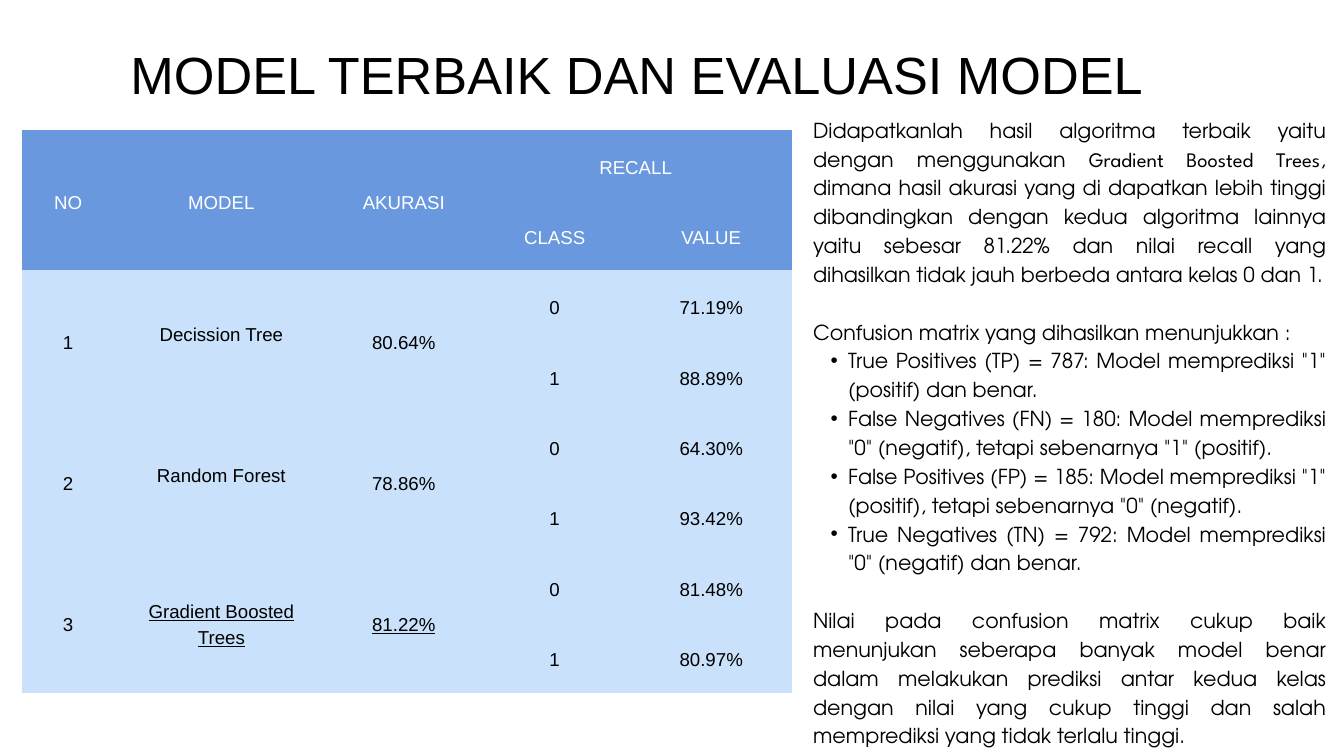
from lxml import etree
from pptx import Presentation, util as u
from pptx.dml.color import RGBColor
from pptx.enum import text
from pptx.oxml import ns

SCALE = 9144  # EMU per px, 100 px to the inch
BLACK = RGBColor(0, 0, 0)
WHITE = RGBColor(255, 255, 255)
BLUE = RGBColor(0x69, 0x98, 0xDF)
PALE = RGBColor(0xC9, 0xE1, 0xFB)

TITLE = "MODEL TERBAIK DAN EVALUASI MODEL"
WIDTHS = [137, 319, 224, 225, 241]
HEADS = [
    ["NO", "MODEL", "AKURASI", "RECALL", ""],
    ["", "", "", "CLASS", "VALUE"],
]
MODELS = [  # name, accuracy, recall of class 0 and 1
    ("Decission Tree", "80.64%", "71.19%", "88.89%"),
    ("Random Forest", "78.86%", "64.30%", "93.42%"),
    ("Gradient Boosted Trees", "81.22%", "81.48%", "80.97%"),
]
BEST = "Gradient Boosted Trees"
INTRO = [
    "Didapatkanlah hasil algoritma terbaik yaitu dengan menggunakan ",
    BEST,
    ", dimana hasil akurasi yang di dapatkan lebih tinggi dibandingkan dengan "
    "kedua algoritma lainnya yaitu sebesar 81.22% dan nilai recall yang "
    "dihasilkan tidak jauh berbeda antara kelas 0 dan 1.",
]
LEAD = "Confusion matrix yang dihasilkan menunjukkan : "
POINTS = [
    'True Positives (TP) = 787: Model memprediksi "1" (positif) dan benar.',
    'False Negatives (FN) = 180: Model memprediksi "0" (negatif), '
    'tetapi sebenarnya "1" (positif).',
    'False Positives (FP) = 185: Model memprediksi "1" (positif), '
    'tetapi sebenarnya "0" (negatif).',
    'True Negatives (TN) = 792: Model memprediksi "0" (negatif) dan benar.',
]
CLOSE = (
    "Nilai pada confusion matrix cukup baik menunjukan seberapa banyak model "
    "benar dalam melakukan prediksi antar kedua kelas dengan nilai yang cukup "
    "tinggi dan salah memprediksi yang tidak terlalu tinggi."
)


def px(n):
    return u.Emu(n * SCALE)


def style(para, size, font, color, lead, align):
    para.alignment = align
    para.line_spacing = u.Pt(lead)
    for run in para.runs:
        run.font.size = u.Pt(size)
        run.font.name = font
        run.font.color.rgb = color


def add_box(slide, x, y, w, h):
    frame = slide.shapes.add_textbox(px(x), px(y), px(w), px(h)).text_frame
    frame.word_wrap = True
    frame.margin_left = frame.margin_right = 0
    frame.margin_top = frame.margin_bottom = 0
    return frame


def add_bullet(para):
    props = para._p.get_or_add_pPr()
    props.set("lvl", "1")
    props.set("marL", str(px(52)))
    props.set("indent", str(px(-26)))
    etree.SubElement(props, ns.qn("a:buFont"), typeface="Arial")
    etree.SubElement(props, ns.qn("a:buChar"), char="•")


def clear_edges(cell):
    props = cell._tc.get_or_add_tcPr()
    for i, side in enumerate(("lnL", "lnR", "lnT", "lnB")):
        line = etree.Element(ns.qn("a:" + side), w="0")
        etree.SubElement(line, ns.qn("a:noFill"))
        props.insert(i, line)


def fill_cell(cell, words, back, color, lead):
    cell.text_frame.text = words
    cell.vertical_anchor = text.MSO_ANCHOR.MIDDLE
    cell.margin_left = cell.margin_right = px(21)
    cell.margin_top = cell.margin_bottom = px(21)
    cell.fill.solid()
    cell.fill.fore_color.rgb = back
    clear_edges(cell)
    style(cell.text_frame.paragraphs[0], 20, "Arial", color, lead,
          text.PP_ALIGN.CENTER)


def add_scores(slide):
    rows = list(HEADS)
    for no, (name, score, zero, one) in enumerate(MODELS, 1):
        rows += [[str(no), name, score, "0", zero], ["", "", "", "1", one]]
    table = slide.shapes.add_table(
        len(rows), len(WIDTHS), px(33), px(193), px(sum(WIDTHS)), px(838)).table
    for col, width in zip(table.columns, WIDTHS):
        col.width = px(width)

    # Cell text and fills
    for r, row in enumerate(rows):
        head = r < len(HEADS)
        for c, words in enumerate(row):
            tight = c == 1 and not head and words != BEST
            fill_cell(table.cell(r, c), words, BLUE if head else PALE,
                      WHITE if head else BLACK, 10 if tight else 28)

    # Each entry spans two rows; RECALL spans two columns
    for r in range(0, len(rows), 2):
        for c in range(3):
            table.cell(r, c).merge(table.cell(r + 1, c))
    table.cell(0, 3).merge(table.cell(0, 4))

    # The best model is underlined
    for c in (1, 2):
        para = table.cell(len(rows) - 2, c).text_frame.paragraphs[0]
        para.runs[0].font.underline = True


def add_title(slide):
    frame = add_box(slide, 194, 47, 1612, 104)
    frame.text = TITLE
    style(frame.paragraphs[0], 56, "Arial", BLACK, 78.4, text.PP_ALIGN.LEFT)


def add_notes(slide):
    frame = add_box(slide, 1210, 169, 763, 941)
    first = frame.paragraphs[0]
    for words in INTRO:
        first.add_run().text = words
    for words in [LEAD, *POINTS, CLOSE]:
        frame.add_paragraph().text = words
    for para in frame.paragraphs:
        style(para, 22.1, "TeX Gyre Adventor", BLACK, 30.9,
              text.PP_ALIGN.JUSTIFY)
        if para.text in (LEAD, CLOSE):
            para.space_before = u.Pt(30.9)
        if para.text in POINTS:
            add_bullet(para)
    first.runs[1].font.name = "League Spartan"


def main():
    deck = Presentation()
    deck.slide_width, deck.slide_height = px(2000), px(1125)
    slide = deck.slides.add_slide(deck.slide_layouts[6])
    add_scores(slide)
    add_title(slide)
    add_notes(slide)
    deck.save("out.pptx")


if __name__ == "__main__":
    main()
